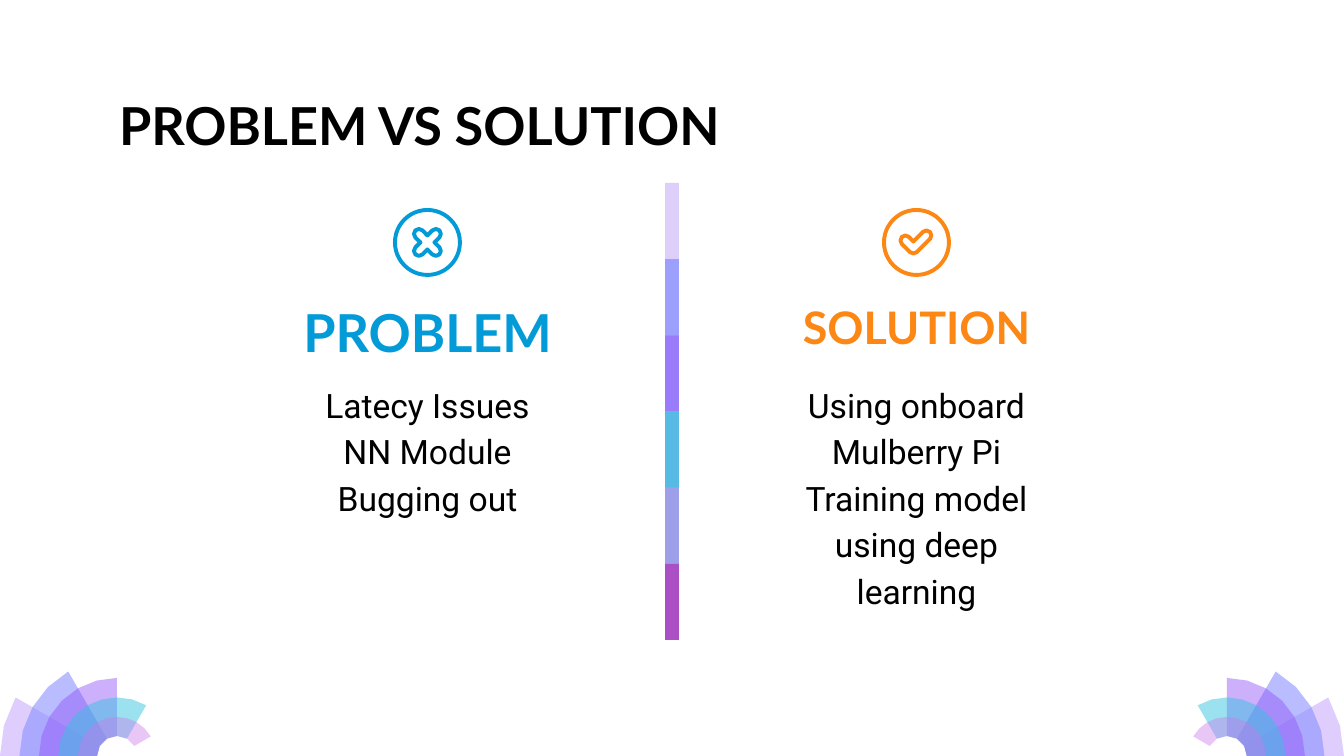
from dataclasses import dataclass
from math import cos, radians, sin

from lxml.etree import SubElement
from pptx import Presentation
from pptx.dml.color import RGBColor
from pptx.enum.shapes import MSO_SHAPE
from pptx.enum.text import MSO_ANCHOR, MSO_AUTO_SIZE, PP_ALIGN
from pptx.oxml.ns import qn
from pptx.util import Pt

PX = 9144000 / 1344  # EMU per px


@dataclass(frozen=True)
class Theme:
    white: str = "FFFFFF"
    black: str = "000000"
    blue: str = "029BD8"
    orange: str = "FD8714"
    # Colour and opacity in percent
    fan: tuple = (("C8ACFD", 58), ("878FFF", 58), ("9154F8", 46),
                  ("35C2DF", 49), ("CA7BEB", 42))
    divider: tuple = (("C8AEF8", 59), ("878FFF", 74), ("9154F8", 53),
                      ("35C2DF", 76), ("CA7BEB", 56), ("972CB4", 74))
    heading_font: str = "Lato"
    body_font: str = "Roboto"
    title_size: int = 28
    solution_size: int = 24
    body_size: int = 18
    icon_line: float = 2.1


theme = Theme()


def arc(x, y, radius, start, end, steps):
    """Points along an arc; degrees run clockwise from the right."""
    angles = [radians(start + (end - start) * step / steps) for step in range(steps + 1)]
    return [(x + radius * cos(angle), y + radius * sin(angle)) for angle in angles]


def write(box, lines, font, size, color, align, spacing=1.0):
    frame = box.text_frame
    frame.text = "\n".join(lines)
    frame.word_wrap = True
    frame.auto_size = MSO_AUTO_SIZE.NONE
    frame.vertical_anchor = MSO_ANCHOR.TOP
    frame.margin_left = frame.margin_right = round(13 * PX)
    frame.margin_top = frame.margin_bottom = round(13 * PX)
    for para in frame.paragraphs:
        para.alignment = align
        para.line_spacing = spacing
        for span in para.runs:
            span.font.name = font
            span.font.size = Pt(size)
            span.font.bold = font == theme.heading_font
            span.font.color.rgb = RGBColor.from_string(color)


deck = Presentation()
deck.slide_width, deck.slide_height = round(1344 * PX), round(756 * PX)
page = deck.slides.add_slide(deck.slide_layouts[5])
shapes = page.shapes

title = shapes.title
title.left, title.top, title.width, title.height = (
    round(value * PX) for value in (106, 80, 1133, 84))
write(title, ["PROBLEM VS SOLUTION"], theme.heading_font, theme.title_size,
      theme.black, PP_ALIGN.LEFT)

# Corner fans: each layer is one ring smaller and 30 degrees wider
tinted = []
for center, base, turn in ((117, 180, 30), (1227, 360, -30)):
    for index, tint in enumerate(theme.fan):
        end = base + turn * (index + 1)
        radius = 117 * (6 - index) / 6
        points = arc(center, 756, radius, base, end, 2 * index + 2)
        points += arc(center, 756, 20, end, base, index + 1)
        points = [(round(x * PX), round(y * PX)) for x, y in points]
        builder = shapes.build_freeform(*points[0])
        builder.add_line_segments(points[1:], close=True)
        tinted.append((builder.convert_to_shape(), tint))

# Divider: each bar runs under the next one, the last is a single step
step = 457 / len(theme.divider)
for index, tint in enumerate(theme.divider):
    height = step if index == len(theme.divider) - 1 else 2 * step
    bar = shapes.add_shape(MSO_SHAPE.RECTANGLE, round(665 * PX),
                           round((183 + index * step) * PX),
                           round(14 * PX), round(height * PX))
    tinted.append((bar, tint))

for shape, (color, opacity) in tinted:
    shape.shadow.inherit = False
    shape.line.fill.background()
    shape.fill.solid()
    shape.fill.fore_color.rgb = RGBColor.from_string(color)
    color_node = shape.fill._xPr.find(qn("a:solidFill"))[0]
    SubElement(color_node, qn("a:alpha")).set("val", str(opacity * 1000))

# Icon outlines around their centre
cross = []
for angle in (45, 135, 225, 315):
    tip_x, tip_y = 12 * cos(radians(angle)), 12 * sin(radians(angle))
    cross += arc(0, 0, 7, angle - 45, angle, 1)[:1]
    cross += arc(tip_x, tip_y, 5, angle - 90, angle + 90, 4)
check = arc(-11, -2, 5, 135, 315, 4) + [(-3, -1)]
check += arc(10, -7, 5, -135, 45, 4) + arc(-3, 6, 5, 45, 135, 2)

columns = (
    (270, "PROBLEM", theme.title_size, theme.blue, cross, 262,
     ["Latecy Issues", "NN Module Bugging out"]),
    (759, "SOLUTION", theme.solution_size, theme.orange, check, 150,
     ["Using onboard Mulberry Pi", "Training model using deep learning"]),
)
for left, heading, size, color, outline, body_height, lines in columns:
    heading_box = shapes.add_textbox(round(left * PX), round(287 * PX),
                                     round(315 * PX), round(84 * PX))
    write(heading_box, [heading], theme.heading_font, size, color, PP_ALIGN.CENTER)
    heading_box.fill.solid()
    heading_box.fill.fore_color.rgb = RGBColor.from_string(theme.white)
    body_box = shapes.add_textbox(round(left * PX), round(366 * PX),
                                  round(315 * PX), round(body_height * PX))
    write(body_box, lines, theme.body_font, theme.body_size, theme.black,
          PP_ALIGN.CENTER, 1.15)

    center_x, center_y, diameter = left + 315 / 2, 485 / 2, 65
    ring = shapes.add_shape(MSO_SHAPE.OVAL, round((center_x - diameter / 2) * PX),
                            round((center_y - diameter / 2) * PX),
                            round(diameter * PX), round(diameter * PX))
    points = [(round((center_x + x) * PX), round((center_y + y) * PX)) for x, y in outline]
    builder = shapes.build_freeform(*points[0])
    builder.add_line_segments(points[1:], close=True)
    for shape in (ring, builder.convert_to_shape()):
        shape.shadow.inherit = False
        shape.fill.background()
        shape.line.color.rgb = RGBColor.from_string(color)
        shape.line.width = Pt(theme.icon_line)

deck.save("out.pptx")
